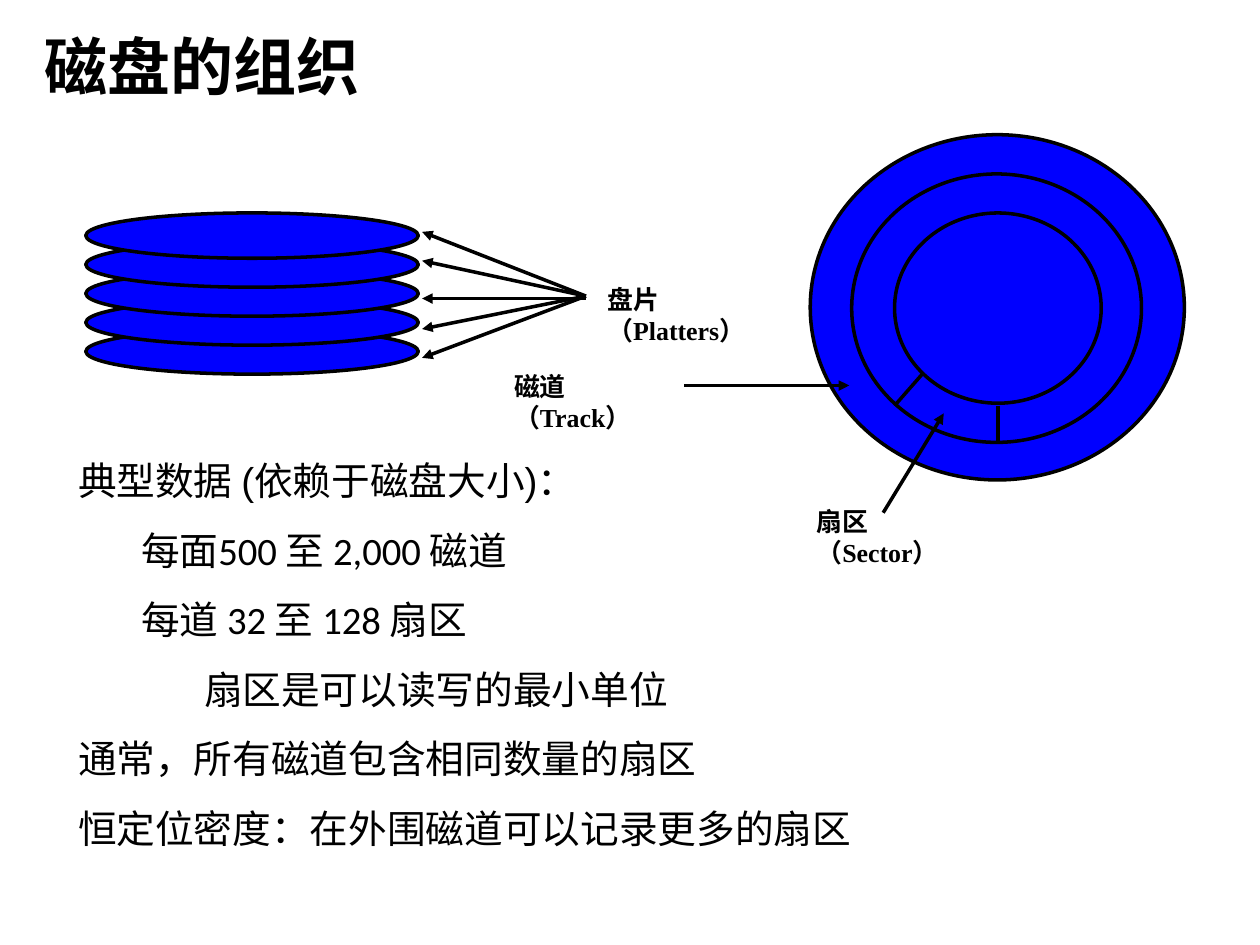
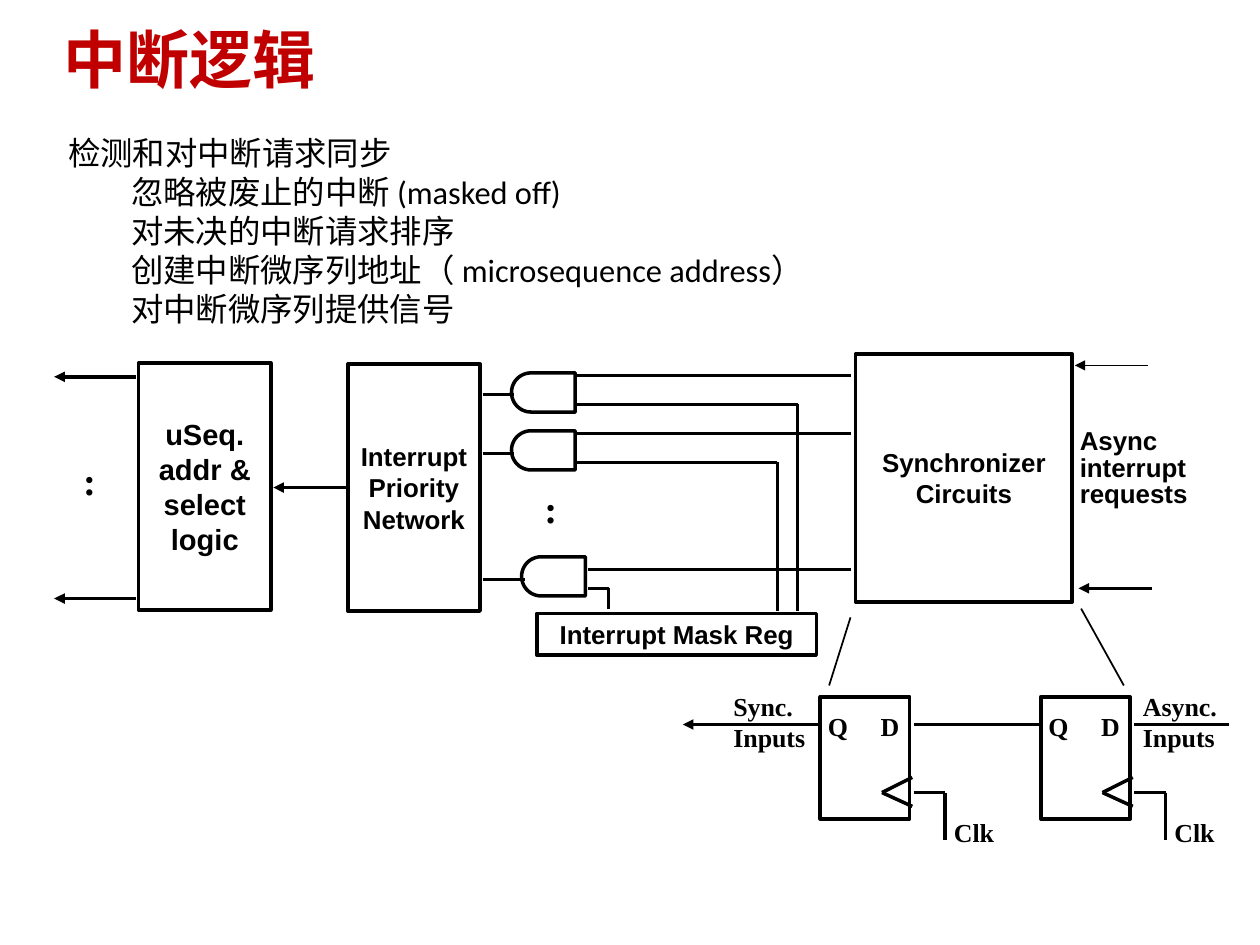
from math import cos, pi, sin

from lxml import etree
from pptx import Presentation
from pptx.dml.color import RGBColor
from pptx.enum.shapes import MSO_CONNECTOR, MSO_SHAPE
from pptx.enum.text import MSO_ANCHOR, MSO_AUTO_SIZE, PP_ALIGN
from pptx.oxml.ns import qn
from pptx.util import Pt

STRAIGHT = MSO_CONNECTOR.STRAIGHT
ELLIPSE, RECTANGLE = MSO_SHAPE.OVAL, MSO_SHAPE.RECTANGLE
TOP, MIDDLE = MSO_ANCHOR.TOP, MSO_ANCHOR.MIDDLE
LEFT, CENTER = PP_ALIGN.LEFT, PP_ALIGN.CENTER
FIXED, GROW = MSO_AUTO_SIZE.NONE, MSO_AUTO_SIZE.SHAPE_TO_FIT_TEXT
BLACK = RGBColor(0, 0, 0)
BLUE = RGBColor(0, 0, 255)
RED = RGBColor(192, 0, 0)
SANS, SERIF, BODY, CJK = "Arial", "Times New Roman", "Calibri", "Noto Sans CJK SC"
LABEL_SIZE = 14.8
NO_MARGIN, MARGIN, NARROW_MARGIN = (0, 0), (6.5, 3), (4.3, 2.2)


def write(shape, lines, size, font, bold=True, color=BLACK, align=LEFT, anchor=TOP,
          margin=MARGIN, wrap=False, fit=FIXED, spacing=1.0):
    frame = shape.text_frame
    across, down = margin
    frame_format = {
        "margin_left": Pt(across), "margin_right": Pt(across),
        "margin_top": Pt(down), "margin_bottom": Pt(down),
        "vertical_anchor": anchor, "word_wrap": wrap, "auto_size": fit,
    }
    for name, value in frame_format.items():
        setattr(frame, name, value)
    for number, (level, text) in enumerate(lines):
        para = frame.add_paragraph() if number else frame.paragraphs[0]
        properties = para._p.get_or_add_pPr()
        properties.set("marL", str(Pt(36 * level)))
        properties.set("indent", "0")
        etree.SubElement(properties, qn("a:buNone"))
        para_format = {"level": level, "alignment": align, "line_spacing": spacing,
                       "space_before": Pt(0), "space_after": Pt(0)}
        for name, value in para_format.items():
            setattr(para, name, value)
        span = para.add_run()
        span.text = text
        span.font.color.rgb = color
        font_format = {"name": BODY if level else font, "size": Pt(size), "bold": bold}
        for name, value in font_format.items():
            setattr(span.font, name, value)
        etree.SubElement(span._r.get_or_add_rPr(), qn("a:ea"), typeface=BODY)


def connect(slide, start_x, start_y, end_x, end_y, arrow=False, width=2):
    line = slide.shapes.add_connector(
        STRAIGHT, Pt(start_x), Pt(start_y), Pt(end_x), Pt(end_y))
    line.line.color.rgb = BLACK
    line.line.width = Pt(width)
    properties = line._element.spPr
    if arrow:
        etree.SubElement(properties.find(qn("a:ln")), qn("a:tailEnd"), type="triangle")
    etree.SubElement(properties, qn("a:effectLst"))


deck = Presentation()
deck.slide_width, deck.slide_height = Pt(720), Pt(540)

PAGES = [
    {
        "title": "磁盘的组织", "title_at": (25.2, 15.8, 280, 46),
        "font": SANS, "color": BLACK,
        "body_at": (44.6, 247.7, 675.4, 236), "size": 22.1, "spacing": 1.5,
        "lines": [
            (0, "典型数据 (依赖于磁盘大小)："),
            (1, "每面500 至 2,000 磁道"),
            (1, "每道 32 至 128 扇区"),
            (2, "扇区是可以读写的最小单位"),
            (0, "通常，所有磁道包含相同数量的扇区"),
            (0, "恒定位密度：在外围磁道可以记录更多的扇区"),
        ],
    },
    {
        "title": "中断逻辑", "title_at": (36, 11.5, 263.5, 46),
        "font": CJK, "color": RED,
        "body_at": (38.9, 76.3, 645, 133.2), "size": 18.5, "spacing": 1.0,
        "lines": [
            (0, "检测和对中断请求同步"),
            (1, "忽略被废止的中断 (masked off)"),
            (1, "对未决的中断请求排序"),
            (1, "创建中断微序列地址（ microsequence address）"),
            (1, "对中断微序列提供信号"),
        ],
    },
]

slides = []
for page in PAGES:
    slide = deck.slides.add_slide(deck.slide_layouts[1])
    slides.append(slide)
    title, body = slide.placeholders[0], slide.placeholders[1]
    for holder, place in ((title, page["title_at"]), (body, page["body_at"])):
        for name, value in zip(("left", "top", "width", "height"), place):
            setattr(holder, name, Pt(value))
    write(title, [(0, page["title"])], 36, page["font"], color=page["color"],
          margin=NO_MARGIN, wrap=True)
    write(body, page["lines"], page["size"], SANS, bold=False,
          margin=NO_MARGIN, wrap=True, spacing=page["spacing"])

disk, interrupt = slides

PLATTERS = [(49, 187.9 - 16.55 * step, 190, 25.9, True) for step in range(5)]
RINGS = [
    (463, 77, 213.8, 197.3, True),
    (486.7, 99.4, 165.6, 153.4, False),
    (511.2, 121.7, 118.1, 108.7, False),
]
for left, top, width, height, filled in PLATTERS + RINGS:
    ring = disk.shapes.add_shape(ELLIPSE, Pt(left), Pt(top), Pt(width), Pt(height))
    ring.shadow.inherit = False
    ring.line.color.rgb = BLACK
    ring.line.width = Pt(2)
    if filled:
        ring.fill.solid()
        ring.fill.fore_color.rgb = BLUE
    else:
        ring.fill.background()

for start_y, end_y in ((169.2, 132.5), (169.2, 149), (170.6, 170.6),
                       (169.2, 188), (169.2, 204.5)):
    connect(disk, 334.8, start_y, 241.2, end_y, arrow=True)
connect(disk, 391, 220.3, 485.3, 220.3, arrow=True)
connect(disk, 504.7, 293, 539.3, 236.2, arrow=True)
connect(disk, 570.2, 231.8, 570.2, 252.7)
connect(disk, 511.2, 231.8, 527, 213.8)

for text, left, top, width in (
    ("盘片（Platters）", 340.6, 159.1, 117),
    ("磁道（Track）", 287.3, 208.8, 105),
    ("扇区（Sector）", 460.1, 285.8, 108),
):
    label = disk.shapes.add_textbox(Pt(left), Pt(top), Pt(width), Pt(42))
    write(label, [(0, text)], LABEL_SIZE, SERIF, wrap=True)

FLIP_FLOPS = (468.7, 594.7)
BLOCKS = [
    (["Synchronizer", "Circuits"], 488.9, 202.3, 123.8, 141.8, LABEL_SIZE),
    (["Interrupt Mask Reg"], 306.7, 350.6, 159.8, 23.8, LABEL_SIZE),
    (["Interrupt", "Priority", "Network"], 198.7, 208.1, 75.6, 141.1, LABEL_SIZE),
    (["uSeq.", "addr &", "select", "logic"], 79.2, 207.4, 75.6, 141.1, 16.6),
] + [([], left, 398.2, 51.1, 69.8, LABEL_SIZE) for left in FLIP_FLOPS]
for lines, left, top, width, height, size in BLOCKS:
    block = interrupt.shapes.add_shape(
        RECTANGLE, Pt(left), Pt(top), Pt(width), Pt(height))
    block.shadow.inherit = False
    block.fill.background()
    block.line.color.rgb = BLACK
    block.line.width = Pt(2)
    write(block, [(0, text) for text in lines], size, SANS,
          align=CENTER, anchor=MIDDLE)

GATE_WIDTH, GATE_RADIUS, ARC_STEPS = 36.4, 11.2, 24
for left, top in ((292.3, 213.1), (292.3, 246.2), (298.1, 318.2)):
    right, middle = left + GATE_WIDTH, top + GATE_RADIUS
    angles = [pi / 2 + pi * step / ARC_STEPS for step in range(ARC_STEPS + 1)]
    arc = [(left + GATE_RADIUS * (1 + cos(angle)), middle - GATE_RADIUS * sin(angle))
           for angle in angles]
    outline = arc + [(right, top + 2 * GATE_RADIUS)]
    builder = interrupt.shapes.build_freeform(Pt(right), Pt(top))
    builder.add_line_segments([(Pt(x), Pt(y)) for x, y in outline], close=True)
    gate = builder.convert_to_shape()
    gate.shadow.inherit = False
    gate.fill.background()
    gate.line.color.rgb = BLACK
    gate.line.width = Pt(2)

WIRES = [
    (329.8, 214.6, 486, 214.6), (329.8, 247.7, 486, 247.7), (336.2, 325.4, 486, 325.4),
    (329.8, 231.1, 455.8, 231.1), (455.8, 231.1, 455.8, 349.2),
    (329.8, 264.2, 444.2, 264.2), (444.2, 264.2, 444.2, 349.2),
    (336.2, 336.2, 347.8, 336.2), (347.8, 336.2, 347.8, 347.8),
    (275.8, 225.4, 293.8, 225.4), (275.8, 259.2, 293.8, 259.2),
    (275.8, 331.2, 300.2, 331.2),
    (432, 414, 468, 414), (522, 414, 594, 414), (648, 414, 702, 414),
]
for wire in WIRES:
    connect(interrupt, *wire)

ARROWS = [
    (658.1, 336.2, 616.3, 336.2), (198, 278.6, 156.2, 278.6),
    (77.8, 215.3, 31, 215.3), (77.8, 342, 31, 342), (432, 414, 390.2, 414),
]
for arrow in ARROWS:
    connect(interrupt, *arrow, arrow=True)
connect(interrupt, 655.9, 208.8, 614.2, 208.8, arrow=True, width=1)
connect(interrupt, 486, 352.8, 473.8, 391.7, width=1)
connect(interrupt, 617.8, 347.8, 642.2, 391.7, width=1)

LABELS = [
    (["Async.", "Inputs"], 646.6, 391.7, 56.2, 42.5, LABEL_SIZE),
    (["Sync.", "Inputs"], 412.6, 391.7, 54.7, 42.5, LABEL_SIZE),
    ([":"], 41, 257.8, 20.9, 33.1, 22.1),
    ([":"], 304.6, 274.3, 20.9, 33.1, 22.1),
]
for left in FLIP_FLOPS:
    tip, edge, clock = left + 35.3, left + 52.6, left + 71.3
    connect(interrupt, edge, 444.2, tip, 452.9)
    connect(interrupt, tip, 452.9, edge, 460.8)
    connect(interrupt, edge + 0.7, 452.9, clock, 452.9)
    connect(interrupt, clock, 452.9, clock, 480.2)
    LABELS += [
        (["Q"], left - 2.1, 403.2, 25.2, 24.5, LABEL_SIZE),
        (["D"], left + 28.1, 403.2, 23.8, 24.5, LABEL_SIZE),
        (["Clk"], left + 69.9, 463.7, 36.7, 24.5, LABEL_SIZE),
    ]
for lines, left, top, width, height, size in LABELS:
    label = interrupt.shapes.add_textbox(Pt(left), Pt(top), Pt(width), Pt(height))
    write(label, [(0, text) for text in lines], size, SERIF, fit=GROW)

requests = interrupt.shapes.add_textbox(Pt(612.7), Pt(243.4), Pt(71.3), Pt(49.7))
write(requests, [(0, "Async"), (0, "interrupt"), (0, "requests")], LABEL_SIZE, SANS,
      margin=NARROW_MARGIN, fit=GROW, spacing=0.85)

deck.save("out.pptx")
